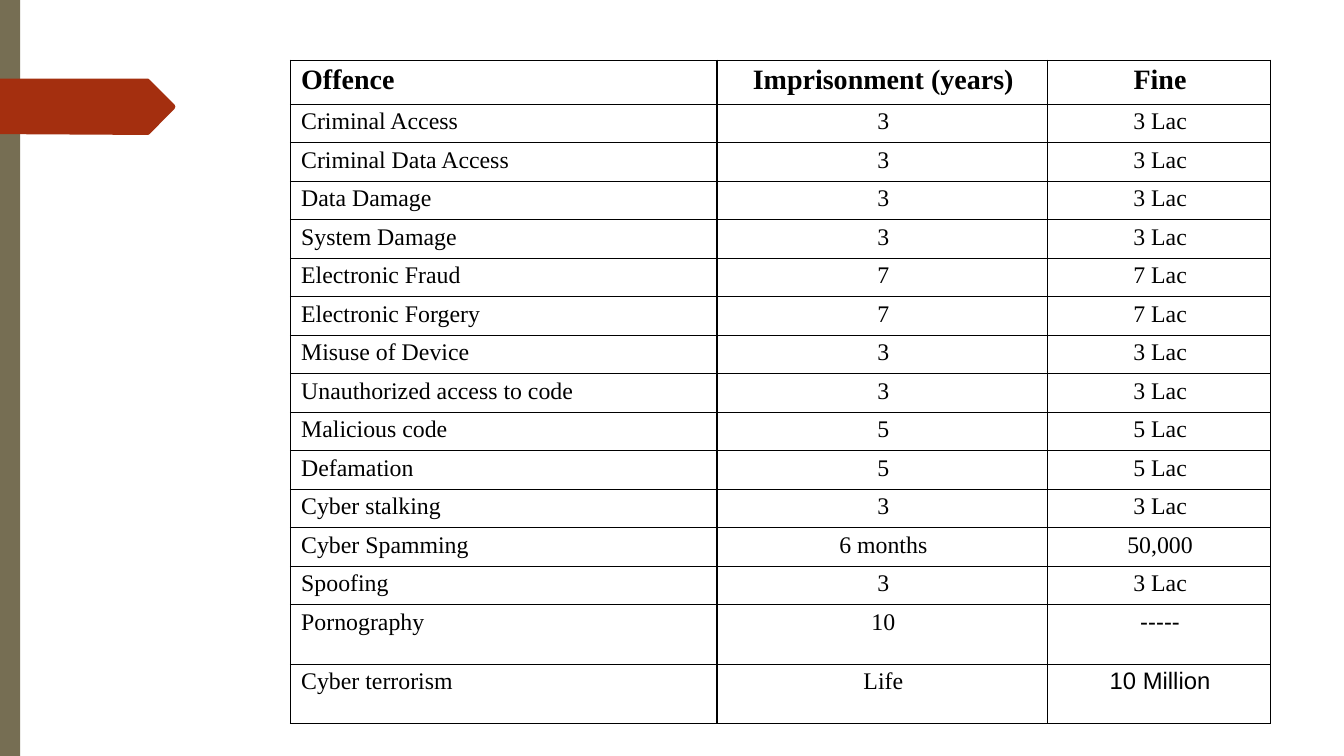
from dataclasses import dataclass

from pptx import Presentation
from pptx.dml.color import RGBColor
from pptx.enum.shapes import MSO_SHAPE
from pptx.enum.text import PP_ALIGN
from pptx.oxml import parse_xml
from pptx.oxml.ns import nsdecls
from pptx.util import Cm, Pt

RECTANGLE = MSO_SHAPE.RECTANGLE
LEFT, CENTER = PP_ALIGN.LEFT, PP_ALIGN.CENTER
BLANK_LAYOUT = 6

HEADINGS = ("Offence", "Imprisonment (years)", "Fine")
PENALTIES = (
    ("Criminal Access", "3", "3 Lac"),
    ("Criminal Data Access", "3", "3 Lac"),
    ("Data Damage", "3", "3 Lac"),
    ("System Damage", "3", "3 Lac"),
    ("Electronic Fraud", "7", "7 Lac"),
    ("Electronic Forgery", "7", "7 Lac"),
    ("Misuse of Device", "3", "3 Lac"),
    ("Unauthorized access to code", "3", "3 Lac"),
    ("Malicious code", "5", "5 Lac"),
    ("Defamation", "5", "5 Lac"),
    ("Cyber stalking", "3", "3 Lac"),
    ("Cyber Spamming", "6 months", "50,000"),
    ("Spoofing", "3", "3 Lac"),
    ("Pornography", "10", "-----"),
    ("Cyber terrorism", "Life", "10 Million"),
)
SANS_FINES = ("-----", "10 Million")
COLUMN_WIDTHS = (10.75, 8.33, 5.62)
ROW_HEIGHTS = (1.11, *[0.97] * 13, 1.5, 1.5)
ARROW_OUTLINE = (
    (0, 1.98), (3.73, 1.98), (3.77, 2.01), (4.4, 2.64), (4.42, 2.69),
    (4.4, 2.74), (3.77, 3.38), (3.73, 3.4), (3.45, 3.4), (0, 3.38),
)


@dataclass(frozen=True)
class Theme:
    """Colours, fonts and type sizes of the deck."""

    ink: str = "000000"
    olive: str = "766E53"
    rust: str = "A42F0F"
    serif: str = "Times New Roman"
    sans: str = "Arial"
    heading_size: int = 20
    body_size: int = 17
    border_width: int = 1


def write_text(frame, text, *, font, size, color, bold=False, align=LEFT):
    """Write one formatted paragraph into a text frame."""
    para = frame.paragraphs[0]
    para.alignment = align
    span = para.add_run()
    span.text = text
    span.font.name = font
    span.font.size = Pt(size)
    span.font.bold = bold
    span.font.color.rgb = RGBColor.from_string(color)


class PageBuilder:
    """Draws styled elements on the current page."""

    def __init__(self, page, theme):
        """Keep the page and its theme."""
        self.page = page
        self.theme = theme

    def paint(self, shape, color):
        """Give a shape a flat fill without line or shadow."""
        shape.shadow.inherit = False
        shape.fill.solid()
        shape.fill.fore_color.rgb = RGBColor.from_string(color)
        shape.line.fill.background()

    def bar(self, left, top, width, height, color):
        """Draw a plain rectangle."""
        box = self.page.shapes.add_shape(
            RECTANGLE, Cm(left), Cm(top), Cm(width), Cm(height))
        self.paint(box, color)

    def outline(self, points, color):
        """Draw a closed filled polygon."""
        start, *others = [(Cm(x), Cm(y)) for x, y in points]
        builder = self.page.shapes.build_freeform(*start)
        builder.add_line_segments(others, close=True)
        self.paint(builder.convert_to_shape(), color)

    def border(self, cell):
        """Rule all four sides of a cell."""
        properties = cell._tc.get_or_add_tcPr()
        for position, side in enumerate(("lnL", "lnR", "lnT", "lnB")):
            properties.insert(position, parse_xml(
                f'<a:{side} {nsdecls("a")} w="{Pt(self.theme.border_width)}">'
                f'<a:solidFill><a:srgbClr val="{self.theme.ink}"/></a:solidFill>'
                f'</a:{side}>'))

    def table(self, left, top, widths, heights, rows):
        """Draw a ruled table with a bold heading row."""
        theme = self.theme
        frame = self.page.shapes.add_table(
            len(heights), len(widths), Cm(left), Cm(top),
            Cm(sum(widths)), Cm(sum(heights)))
        grid = frame.table
        grid.first_row = grid.horz_banding = False
        for column, width in zip(grid.columns, widths):
            column.width = Cm(width)
        for row, height in zip(grid.rows, heights):
            row.height = Cm(height)
        for row_index, row in enumerate(rows):
            heading = row_index == 0
            for column_index, text in enumerate(row):
                first = column_index == 0
                cell = grid.cell(row_index, column_index)
                cell.margin_left = Cm(0.27 if first else 0.05)
                cell.margin_top = Cm(0.1)
                cell.margin_right = cell.margin_bottom = 0
                cell.fill.background()
                self.border(cell)
                write_text(
                    cell.text_frame, text,
                    font=theme.sans if text in SANS_FINES else theme.serif,
                    size=theme.heading_size if heading else theme.body_size,
                    color=theme.ink, bold=heading,
                    align=LEFT if first else CENTER)


def main():
    """Build the penalties slide and save the deck."""
    deck = Presentation()
    deck.slide_width, deck.slide_height = Cm(33.87), Cm(19.05)
    theme = Theme()
    page = deck.slides.add_slide(deck.slide_layouts[BLANK_LAYOUT])
    builder = PageBuilder(page, theme)
    builder.bar(0, 0, 0.51, 19.05, theme.olive)
    builder.outline(ARROW_OUTLINE, theme.rust)
    builder.table(7.32, 1.52, COLUMN_WIDTHS, ROW_HEIGHTS, (HEADINGS, *PENALTIES))
    deck.save("out.pptx")


if __name__ == "__main__":
    main()
